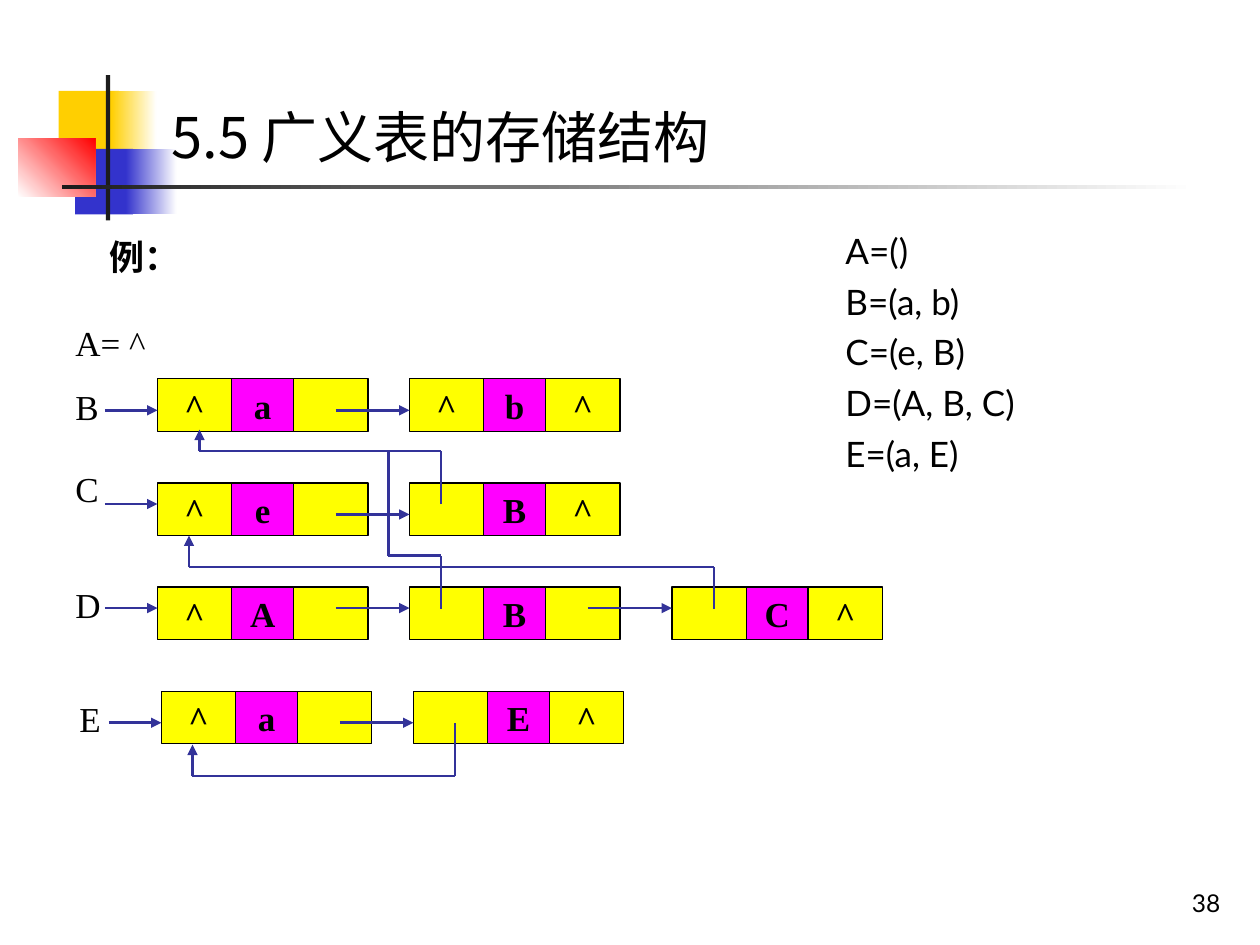
from dataclasses import dataclass
from itertools import pairwise

from lxml.etree import SubElement
from pptx import Presentation
from pptx.dml.color import RGBColor
from pptx.enum.shapes import MSO_CONNECTOR, MSO_SHAPE
from pptx.enum.text import MSO_ANCHOR, MSO_AUTO_SIZE, PP_ALIGN
from pptx.oxml.ns import qn
from pptx.slide import Slide
from pptx.util import Pt

COLORS = {
    "black": "000000", "white": "FFFFFF", "ink": "1C1C1C", "gold": "FFCF01",
    "blue": "3333CC", "red": "FF0000", "yellow": "FFFF00",
    "magenta": "FF00FF", "link": "333399",
}
SANS, SERIF, CJK = "Lato", "Times New Roman", "Noto Sans CJK JP"
CELL_WIDTHS = (42.5, 35.25, 42.5)
CELL_HEIGHT = 30
NODE_LEFTS = (90, 234, 384)
ROW_TOP, ROW_PITCH = 216.5, 59.5
E_SHIFT = 2.25


def rgb(name):
    return RGBColor.from_string(COLORS[name])


@dataclass
class ListDiagram:
    """Draws generalized-list storage diagrams on one slide in a shared style."""

    slide: Slide
    size: float = 20
    line_width: float = 1.5
    border: float = 0.75

    def fill_text(self, frame, lines, font, size=None, bold=False,
                  align=PP_ALIGN.LEFT, before=0):
        frame.text = "\n".join(lines)
        for paragraph in frame.paragraphs:
            paragraph.alignment = align
            paragraph.space_before = Pt(before)
            paragraph.font.size = Pt(size or self.size)
            paragraph.font.bold = bold
            paragraph.font.color.rgb = rgb("black")
            paragraph.font.name = font
            defaults = paragraph._p.pPr.find(qn("a:defRPr"))
            SubElement(defaults, qn("a:ea"), typeface=CJK)

    def title(self, text, left, top, width, height):
        title = self.slide.shapes.title
        title.left, title.top = Pt(left), Pt(top)
        title.width, title.height = Pt(width), Pt(height)
        frame = title.text_frame
        frame.vertical_anchor = MSO_ANCHOR.TOP
        frame.auto_size = MSO_AUTO_SIZE.NONE
        self.fill_text(frame, [text], CJK, size=32)
        self.slide.shapes._spTree.append(title._element)

    def text(self, lines, left, top, width, height, font,
             anchor=MSO_ANCHOR.TOP, **style):
        box = self.slide.shapes.add_textbox(
            Pt(left), Pt(top), Pt(width), Pt(height))
        frame = box.text_frame
        frame.word_wrap = True
        frame.vertical_anchor = anchor
        self.fill_text(frame, lines, font, **style)

    def block(self, left, top, width, height, color, fade_to=None, angle=0):
        block = self.slide.shapes.add_shape(
            MSO_SHAPE.RECTANGLE, Pt(left), Pt(top), Pt(width), Pt(height))
        block.shadow.inherit = False
        block.line.fill.background()
        if fade_to:
            block.fill.gradient()
            block.fill.gradient_angle = angle
            for stop, name in zip(block.fill.gradient_stops, (color, fade_to)):
                stop.color.rgb = rgb(name)
        else:
            block.fill.solid()
            block.fill.fore_color.rgb = rgb(color)
        return block

    def node(self, left, top, cells):
        for index, (mark, width) in enumerate(zip(cells, CELL_WIDTHS)):
            color = "magenta" if index == 1 else "yellow"
            cell = self.block(left, top, width, CELL_HEIGHT, color)
            cell.line.color.rgb = rgb("black")
            cell.line.width = Pt(self.border)
            if mark.strip():
                frame = cell.text_frame
                frame.word_wrap = False
                frame.vertical_anchor = MSO_ANCHOR.MIDDLE
                self.fill_text(frame, [mark], SERIF, bold=True,
                               align=PP_ALIGN.CENTER)
            left += width

    def route(self, points, arrow=True):
        for start, end in pairwise(points):
            link = self.slide.shapes.add_connector(
                MSO_CONNECTOR.STRAIGHT, *map(Pt, start + end))
            link.line.color.rgb = rgb("link")
            link.line.width = Pt(self.line_width)
            if arrow and end == points[-1]:
                SubElement(link.line._get_or_add_ln(), qn("a:tailEnd"),
                           type="triangle")
            SubElement(link._element.spPr, qn("a:effectLst"))

    def row(self, index, nodes, entry, link, shift=0):
        top = ROW_TOP + index * ROW_PITCH
        lefts = [left + shift for left in NODE_LEFTS[:len(nodes)]]
        for left, cells in zip(lefts, nodes):
            self.node(left, top, cells)
        self.route([(lefts[0] - 30, top + entry), (lefts[0], top + entry)])
        for left, following in pairwise(lefts):
            self.route([(left + 102, top + link), (following, top + link)])


def main():
    deck = Presentation()
    deck.slide_width, deck.slide_height = Pt(720), Pt(540)
    diagram = ListDiagram(deck.slides.add_slide(deck.slide_layouts[5]))

    diagram.block(33.5, 52, 34.5, 37.5, "gold")
    diagram.block(63.5, 52, 26, 37.5, "gold", "white")
    diagram.block(43, 85, 33, 37.5, "blue")
    diagram.block(72, 85, 29, 37.5, "blue", "white")
    diagram.block(10.5, 79, 44, 33.5, "white", "red", 45)
    diagram.block(60.5, 43, 2.5, 83, "ink")
    diagram.block(35.5, 105.75, 648, 2.25, "ink", "white")
    diagram.title("5.5 广义表的存储结构", 90.75, 54.75, 629.25, 46)

    diagram.row(0, ["^a ", "^b^"], 18, 18)
    diagram.row(1, ["^e ", " B^"], 12, 18)
    diagram.row(2, ["^A ", " B ", " C^"], 12, 12)
    diagram.row(3, ["^a ", " E^"], 18, 18, E_SHIFT)

    diagram.route([(252, 288), (252, 257.75), (114, 257.75), (114, 245.5)])
    diagram.route([(252, 347.75), (252, 317.5), (222, 317.5), (222, 257.75)],
                  arrow=False)
    diagram.route([(408, 347.75), (408, 324), (108, 324), (108, 306)])
    diagram.route([(260, 413.25), (260, 443.5), (110, 443.5), (110, 425.5)])

    diagram.text(["A= ^", "B"], 36, 180, 72, 67.5, SERIF, before=12.5)
    for name, left, top in (("C", 36, 263.5), ("D", 36, 329.75),
                            ("E", 36 + E_SHIFT, 395.25)):
        diagram.text([name], left, top, 30, 31.75, SERIF, before=12.5)

    diagram.text(["例："], 55.5, 131, 96, 31.75, SANS, bold=True, before=5)
    diagram.text(["A=()", "B=(a, b)", "C=(e, B)", "D=(A, B, C)", "E=(a, E)"],
                 476, 127.5, 220.5, 161.5, SANS, before=5,
                 align=PP_ALIGN.JUSTIFY)
    diagram.text(["38"], 554.5, 492, 150, 36, SANS, MSO_ANCHOR.BOTTOM,
                 size=14, align=PP_ALIGN.RIGHT)
    deck.save("out.pptx")


if __name__ == "__main__":
    main()
